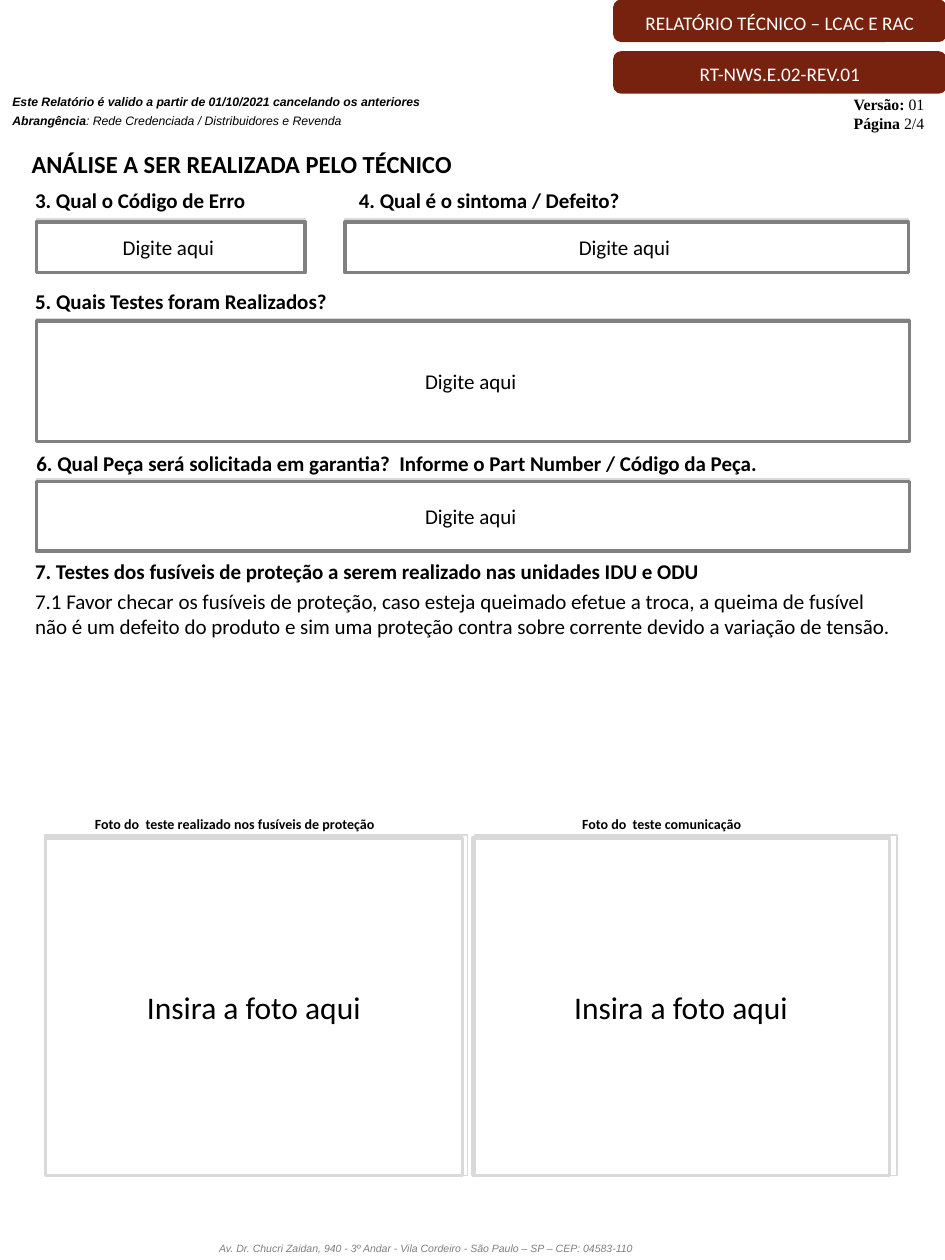
from pptx import Presentation
from pptx.dml.color import RGBColor
from pptx.enum.shapes import MSO_SHAPE
from pptx.enum.text import MSO_ANCHOR, MSO_AUTO_SIZE, PP_ALIGN
from pptx.util import Inches, Pt

COLORS = {"brand": "77220E", "white": "FFFFFF", "black": "000000", "gray": "808080", "light": "D9D9D9"}
COLUMNS, ROWS = 75, 100
LEFT, CENTER = PP_ALIGN.LEFT, PP_ALIGN.CENTER
GROW = {"auto_size": MSO_AUTO_SIZE.SHAPE_TO_FIT_TEXT}
LABEL = {"auto_size": MSO_AUTO_SIZE.SHAPE_TO_FIT_TEXT, "word_wrap": False}
MIDDLE = {"vertical_anchor": MSO_ANCHOR.MIDDLE}
FLUSH = {**MIDDLE, "margin_left": 0, "margin_right": 0, "margin_top": 0, "margin_bottom": 0}
SPACED = {"line_spacing": 1.15, "space_after": Pt(10)}


def set_values(target, values):
    """Set each attribute of the target from a dict."""
    for name, value in values.items():
        setattr(target, name, value)


class FormPage:
    """Style and slide of a form, placed on a grid of 75 columns by 100 rows."""

    def __init__(self, presentation):
        """Add a slide with a title to the presentation."""
        self.column = presentation.slide_width / COLUMNS
        self.row = presentation.slide_height / ROWS
        self.slide = presentation.slides.add_slide(presentation.slide_layouts[5])

    def place(self, area):
        """Turn left, top, width and height in grid units into lengths."""
        units = (self.column, self.row) * 2
        return [int(value * unit) for value, unit in zip(area, units)]

    def fill_text(self, shape, lines, font, color="black", align=LEFT, frame=None, spacing=None):
        """Fill a shape with lines, each one a list of (text, bold) runs."""
        text_frame = shape.text_frame
        set_values(text_frame, {"word_wrap": True, **(frame or {})})
        for index, runs in enumerate(lines):
            paragraph = text_frame.add_paragraph() if index else text_frame.paragraphs[0]
            set_values(paragraph, {"alignment": align, **(spacing or {})})
            for text, bold in runs:
                run = paragraph.add_run()
                run.text = text
                set_values(run.font, {**font, "bold": bold})
                run.font.color.rgb = RGBColor.from_string(COLORS[color])

    def title(self, text, area):
        """Place and fill the title placeholder."""
        shape = self.slide.shapes.title
        set_values(shape, dict(zip(("left", "top", "width", "height"), self.place(area))))
        frame = {**LABEL, "vertical_anchor": MSO_ANCHOR.TOP}
        self.fill_text(shape, [[(text, True)]], self.font(14), frame=frame)

    def text(self, lines, area, font, **options):
        """Add a text box."""
        self.fill_text(self.slide.shapes.add_textbox(*self.place(area)), lines, font, **options)

    def box(self, area, line, width, text=None, size=12, fill=None, kind=MSO_SHAPE.RECTANGLE, **options):
        """Add an outlined box with optional fill and centred text."""
        shape = self.slide.shapes.add_shape(kind, *self.place(area))
        shape.shadow.inherit = False
        shape.line.color.rgb = RGBColor.from_string(COLORS[line])
        shape.line.width = Pt(width)
        if fill:
            shape.fill.solid()
            shape.fill.fore_color.rgb = RGBColor.from_string(COLORS[fill])
        else:
            shape.fill.background()
        if text:
            self.fill_text(shape, [[(text, False)]], self.font(size), align=CENTER, frame=MIDDLE, **options)

    @staticmethod
    def font(size, name="Calibri", italic=False):
        """Return the format values of a font."""
        return {"name": name, "size": Pt(size), "italic": italic}


def draw_header(page):
    """Draw the banners, validity notes, version and address."""
    for top, text in ((0.1, "RELATÓRIO TÉCNICO – LCAC E RAC"), (4.2, "RT-NWS.E.02-REV.01")):
        page.box((48.8, top, 26.2, 3.1), "brand", 2, text, 11, "brand",
                 MSO_SHAPE.ROUNDED_RECTANGLE, color="white", spacing=SPACED)
    note = page.font(7, "Arial", True)
    validity = "Este Relatório é valido a partir de 01/10/2021 cancelando os anteriores"
    scope = [("Abrangência", True), (": Rede Credenciada / Distribuidores e Revenda", False)]
    page.text([[(validity, True)]], (0, 6.8, 43.8, 1.4), note, spacing=SPACED)
    page.text([scope], (0, 8.3, 41.6, 2.3), note, spacing=SPACED)
    version = [[("Versão:", True), (" 01", False)], [("Página ", True), ("2/4", False)]]
    page.text(version, (66.3, 7.3, 8.5, 3.5), page.font(9, "Times New Roman"), align=CENTER, frame=FLUSH)
    address = "Av. Dr. Chucri Zaidan, 940 - 3º Andar - Vila Cordeiro - São Paulo – SP – CEP: 04583-110"
    page.text([[(address, False)]], (0, 97.9, 67.6, 2.1), page.font(6, "Arial", True),
              color="gray", align=CENTER, spacing=SPACED)


def draw_questions(page):
    """Draw the numbered questions with their answer boxes."""
    questions = (
        ("3. Qual o Código de Erro", (1.8, 14.4, 19), (2.9, 17.4, 21.3, 4.2)),
        ("4. Qual é o sintoma / Defeito?", (27.5, 14.4, 23.4), (27.4, 17.4, 44.7, 4.2)),
        ("5. Quais Testes foram Realizados?", (1.8, 22.4, 25.8), (2.9, 25.3, 69.3, 9.7)),
        ("6. Qual Peça será solicitada em garantia?  Informe o Part Number / Código da Peça.",
         (1.9, 35.3, 59.9), (2.9, 38, 69.3, 5.7)),
        ("7. Testes dos fusíveis de proteção a serem realizado nas unidades IDU e ODU",
         (1.8, 43.8, 57.6), None),
    )
    for question, label, answer in questions:
        page.text([[(question, True)]], (*label, 3), page.font(12), frame=LABEL)
        if answer:
            left, top, width, height = answer
            page.box(answer, "light", 1)
            page.box((left, top + 0.2, width, height - 0.15), "gray", 2, "Digite aqui ")
    advice = ("7.1 Favor checar os fusíveis de proteção, caso esteja queimado efetue a troca, "
              "a queima de fusível não é um defeito do produto e sim uma proteção contra "
              "sobre corrente devido a variação de tensão.")
    page.text([[(advice, False)]], (1.8, 46.2, 70.6, 5), page.font(12), frame=GROW)


def draw_photos(page):
    """Draw the two photo areas with their captions."""
    captions = ("Foto do  teste realizado nos fusíveis de proteção", "Foto do  teste comunicação ")
    for index, caption in enumerate(captions):
        left = 3.6 + index * 34
        page.box((left + index * 0.1, 66.3, 33.5, 27), "light", 1)
        page.text([[(caption, True)]], (left + 1.5, 64.2, 27.1, 2.4), page.font(8), align=CENTER, frame=GROW)
        page.box((left - index * 0.1, 66.5, 33.1, 26.8), "light", 2, "Insira a foto aqui", 18)


def main():
    """Build and save the form page."""
    presentation = Presentation()
    set_values(presentation, {"slide_width": Inches(7.5), "slide_height": Inches(10)})
    page = FormPage(presentation)
    draw_header(page)
    page.title("ANÁLISE A SER REALIZADA PELO TÉCNICO", (1.5, 11.3, 36.1, 3.4))
    draw_questions(page)
    draw_photos(page)
    presentation.save("out.pptx")


if __name__ == "__main__":
    main()
